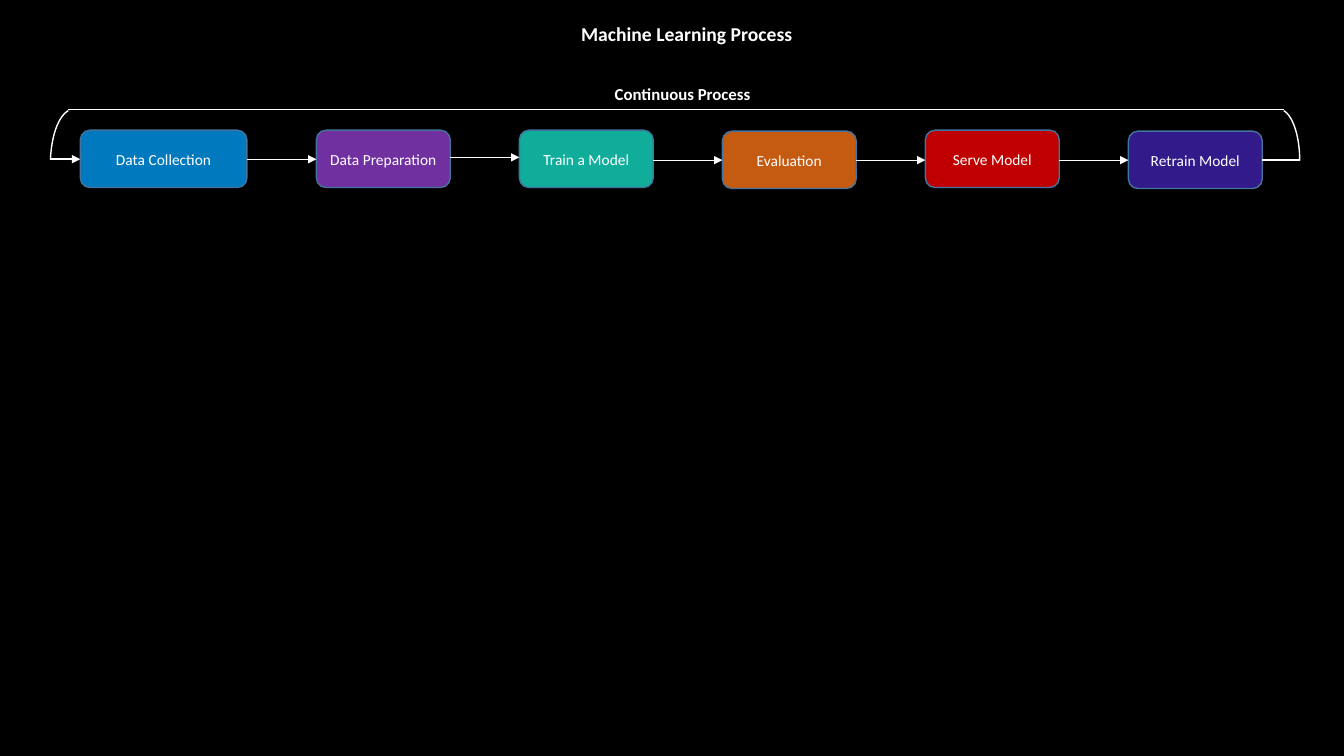
from lxml import etree
from pptx import Presentation
from pptx.dml.color import RGBColor
from pptx.enum import shapes, text
from pptx.oxml.ns import qn
from pptx.util import Pt

HUES = {
    "back": "000000", "white": "FFFFFF", "edge": "43739E",
    "blue": "0079BF", "violet": "7030A0", "teal": "11AD9B",
    "orange": "C55A11", "red": "C00000", "indigo": "321A8A",
}
STEPS = [
    ("Data Collection", "blue", 93),
    ("Data Preparation", "violet", 93),
    ("Train a Model", "teal", 93),
    ("Evaluation", "orange", 93.7),
    ("Serve Model", "red", 93),
    ("Retrain Model", "indigo", 93.7),
]
LINKS = [113.8, 112.4, 114.4, 114.4, 114.4]
FIRST, LEFT, PITCH = 57.4, 226, 145
BROAD, WIDE, HIGH = 119, 95.6, 41


def hue(name):
    return RGBColor.from_string(HUES[name])


def style(frame, size, bold=False):
    for run in frame.paragraphs[0].runs:
        run.font.name = "Calibri"
        run.font.size = Pt(size)
        run.font.bold = bold
        run.font.color.rgb = hue("white")


def label(slide, words, box, size, wrap):
    frame = slide.shapes.add_textbox(*map(Pt, box)).text_frame
    frame.text = words
    frame.word_wrap = wrap
    frame.auto_size = text.MSO_AUTO_SIZE.SHAPE_TO_FIT_TEXT
    style(frame, size, True)


def step(slide, words, fill, box):
    shape = slide.shapes.add_shape(
        shapes.MSO_SHAPE.ROUNDED_RECTANGLE, *map(Pt, box))
    shape.shadow.inherit = False
    shape.fill.solid()
    shape.fill.fore_color.rgb = hue(fill)
    shape.line.color.rgb = hue("edge")
    shape.line.width = Pt(1)
    frame = shape.text_frame
    frame.text = words
    frame.vertical_anchor = text.MSO_ANCHOR.MIDDLE
    frame.paragraphs[0].alignment = text.PP_ALIGN.CENTER
    style(frame, 11)


def link(slide, start, end, y, width=1, arrow=False):
    line = slide.shapes.add_connector(
        shapes.MSO_CONNECTOR.STRAIGHT, Pt(start), Pt(y), Pt(end), Pt(y))
    line.line.color.rgb = hue("white")
    line.line.width = Pt(width)
    if arrow:
        tail = etree.SubElement(line.line._get_or_add_ln(), qn("a:tailEnd"))
        tail.set("type", "triangle")
    etree.SubElement(line._element.spPr, qn("a:effectLst"))


def bend(slide, box, stop, flip=False):
    arc = slide.shapes.add_shape(shapes.MSO_SHAPE.ARC, *map(Pt, box))
    arc.shadow.inherit = False
    arc.fill.background()
    arc.line.color.rgb = hue("white")
    arc.line.width = Pt(1)
    arc.adjustments[0] = 165.27
    arc.adjustments[1] = stop
    if flip:
        arc._element.spPr.xfrm.set("flipH", "1")


def main():
    deck = Presentation()
    deck.slide_width, deck.slide_height = Pt(960), Pt(540)
    slide = deck.slides.add_slide(deck.slide_layouts[6])
    slide.background.fill.solid()
    slide.background.fill.fore_color.rgb = hue("back")

    label(slide, "Machine Learning Process", (408, 12.2, 166.4, 24.2), 14, False)

    spans = [(FIRST, BROAD)]
    spans += [(LEFT + PITCH * i, WIDE) for i in range(len(STEPS) - 1)]
    for (words, fill, top), (left, width) in zip(STEPS, spans):
        step(slide, words, fill, (left, top, width, HIGH))
    for (left, width), (end, _), y in zip(spans, spans[1:], LINKS):
        link(slide, left + width, end, y, 0.5, True)

    link(slide, sum(spans[-1]), 928.4, 114.4)
    bend(slide, (898.8, 78, 29.6, 73.4), 0)
    link(slide, 917, 48.4, 78.2)
    bend(slide, (36, 78, 33, 79.2), 208.53, True)
    link(slide, 36, FIRST, 113.7, arrow=True)
    label(slide, "Continuous Process", (432, 56.6, 118, 21.8), 12, True)

    deck.save("out.pptx")


main()
